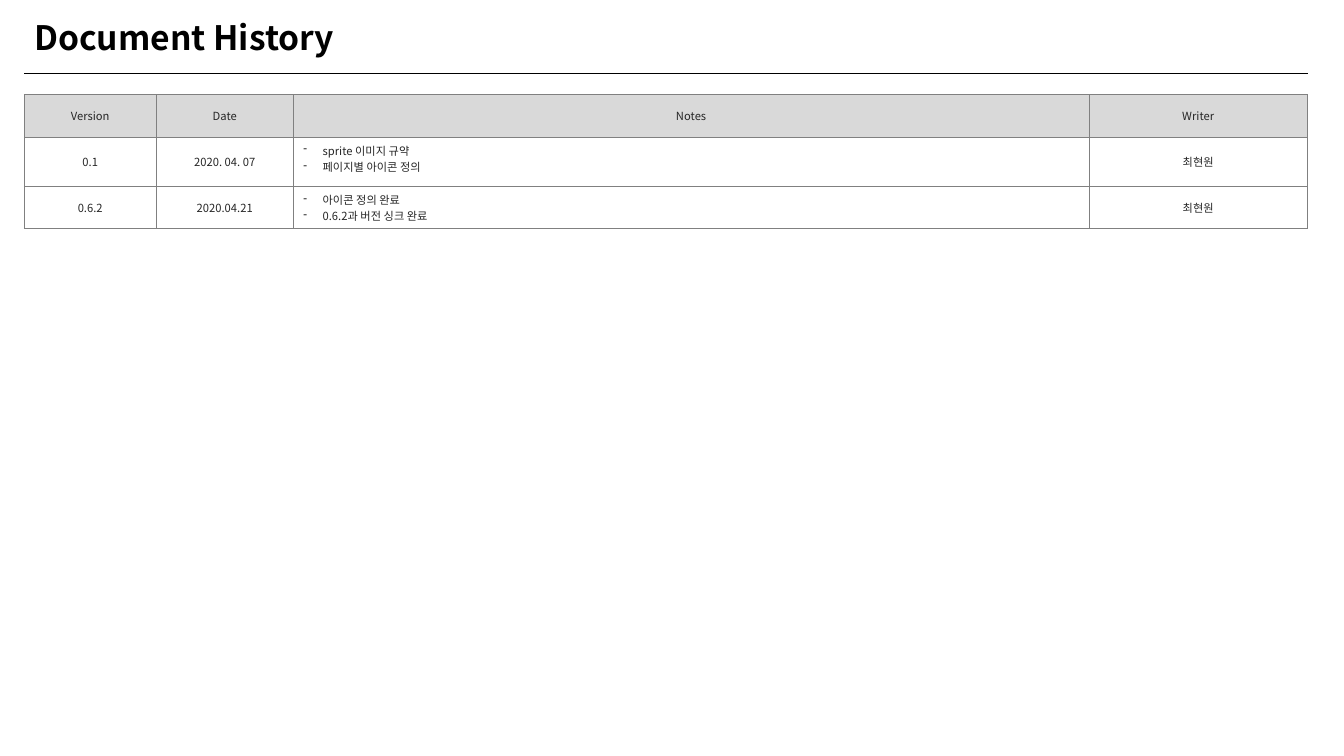
from dataclasses import dataclass

from lxml import etree
from pptx import Presentation
from pptx.dml.color import RGBColor
from pptx.enum.shapes import MSO_CONNECTOR
from pptx.enum.text import MSO_ANCHOR, PP_ALIGN
from pptx.oxml.ns import qn
from pptx.util import Inches, Pt

STRAIGHT = MSO_CONNECTOR.STRAIGHT
TOP, MIDDLE = MSO_ANCHOR.TOP, MSO_ANCHOR.MIDDLE
LEFT, CENTER = PP_ALIGN.LEFT, PP_ALIGN.CENTER


@dataclass(frozen=True)
class Theme:
    font: str = "Noto Sans CJK KR"
    title_size: int = 24
    table_size: int = 8
    line_width: float = 0.5
    title: str = "000000"
    text: str = "262626"
    header_fill: str = "D9D9D9"
    border: str = "808080"


class SlideBuilder:
    def __init__(self, slide, theme):
        self.slide = slide
        self.theme = theme

    def style(self, paragraph, size, color, bold=False):
        font = paragraph.font
        font.name, font.size, font.bold = self.theme.font, Pt(size), bold
        font.color.rgb = RGBColor.from_string(color)
        properties = paragraph._p.pPr.find(qn("a:defRPr"))
        etree.SubElement(properties, qn("a:ea"), typeface=self.theme.font)

    def title(self, text, left, top, width, height):
        shape = self.slide.shapes.add_textbox(
            Inches(left), Inches(top), Inches(width), Inches(height))
        frame = shape.text_frame
        frame.word_wrap = True
        frame.vertical_anchor = MIDDLE
        frame.margin_top = frame.margin_bottom = 0
        paragraph = frame.paragraphs[0]
        paragraph.text = text
        self.style(paragraph, self.theme.title_size, self.theme.title, bold=True)

    def rule(self, left, top, width):
        line = self.slide.shapes.add_connector(
            STRAIGHT, Inches(left), Inches(top), Inches(left + width), Inches(top))
        line.line.color.rgb = RGBColor.from_string(self.theme.title)
        line.line.width = Pt(self.theme.line_width)
        etree.SubElement(line._element.spPr, qn("a:effectLst"))

    def borders(self, cell):
        properties = cell._tc.get_or_add_tcPr()
        for index, side in enumerate(("lnL", "lnR", "lnT", "lnB")):
            line = etree.Element(qn(f"a:{side}"), w=str(Pt(self.theme.line_width)))
            fill = etree.SubElement(line, qn("a:solidFill"))
            etree.SubElement(fill, qn("a:srgbClr"), val=self.theme.border)
            properties.insert(index, line)

    def bullet(self, paragraph):
        properties = paragraph._p.get_or_add_pPr()
        indent = Inches(0.19)
        properties.set("marL", str(indent))
        properties.set("indent", str(-indent))
        etree.SubElement(properties, qn("a:buChar"), char="-")

    def cell(self, cell, content, is_header):
        # A list of lines becomes a bulleted cell
        is_list = isinstance(content, list)
        cell.text = "\n".join(content) if is_list else content
        cell.vertical_anchor = TOP if is_list else MIDDLE
        if is_header:
            cell.fill.solid()
            cell.fill.fore_color.rgb = RGBColor.from_string(self.theme.header_fill)
        else:
            cell.fill.background()
        self.borders(cell)
        for paragraph in cell.text_frame.paragraphs:
            paragraph.alignment = LEFT if is_list else CENTER
            if is_list:
                self.bullet(paragraph)
            self.style(paragraph, self.theme.table_size, self.theme.text)

    def table(self, rows, left, top, widths, heights):
        table = self.slide.shapes.add_table(
            len(rows), len(widths), Inches(left), Inches(top),
            Inches(sum(widths)), Inches(sum(heights))).table
        table.first_row = table.horz_banding = False
        for column, width in zip(table.columns, widths):
            column.width = Inches(width)
        for row_index, (row, height) in enumerate(zip(rows, heights)):
            table.rows[row_index].height = Inches(height)
            for column_index, content in enumerate(row):
                self.cell(table.cell(row_index, column_index), content, row_index == 0)


HISTORY = [
    ["Version", "Date", "Notes", "Writer"],
    ["0.1", "2020. 04. 07", ["sprite 이미지 규약", "페이지별 아이콘 정의"], "최현원"],
    ["0.6.2", "2020.04.21", ["아이콘 정의 완료", "0.6.2과 버전 싱크 완료"], "최현원"],
]


def main():
    presentation = Presentation()
    presentation.slide_width = Inches(13.33)
    presentation.slide_height = Inches(7.5)
    slide = presentation.slides.add_slide(presentation.slide_layouts[6])
    builder = SlideBuilder(slide, Theme())
    margin = 0.24
    widths = [1.31, 1.36, 7.89, 2.17]

    # Heading and its rule
    builder.title("Document History", margin, 0.12, 9.83, 0.5)
    builder.rule(margin, 0.73, sum(widths))

    # Revision table
    builder.table(HISTORY, margin, 0.94, widths, heights=[0.42, 0.49, 0.42])

    presentation.save("out.pptx")


if __name__ == "__main__":
    main()
